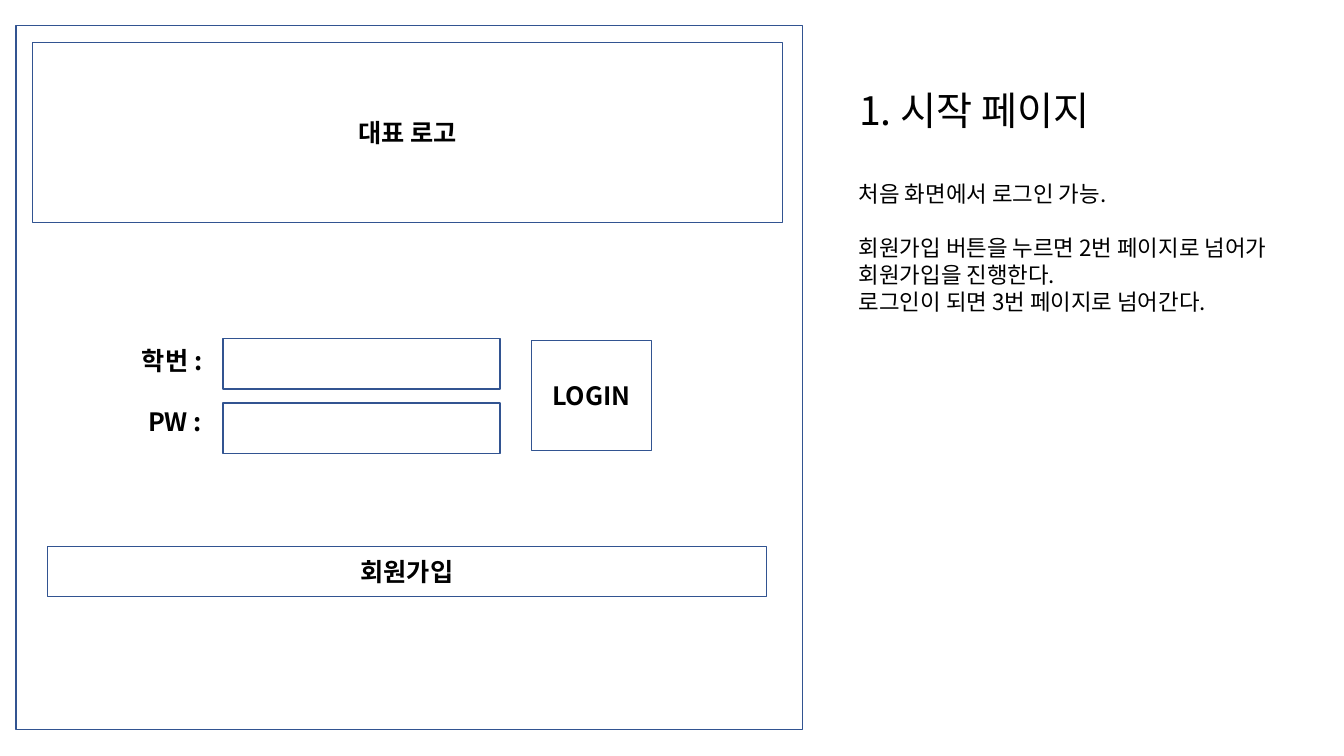
"""Build the start page wireframe slide with its description."""
import pptx
import pptx.dml.color
import pptx.enum.shapes
import pptx.enum.text
import pptx.oxml.ns
import pptx.util
from dataclasses import dataclass
from lxml import etree

Inches = pptx.util.Inches
Align = pptx.enum.text.PP_ALIGN
Anchor = pptx.enum.text.MSO_ANCHOR


@dataclass(frozen=True)
class Theme:
    font: str = "Noto Sans CJK KR"
    ink: str = "000000"
    outline: str = "325491"
    outline_width: float = 1
    title_size: float = 28
    label_size: float = 18
    body_size: float = 16
    paragraph_gap: float = 19.2


THEME = Theme()
TITLE = ("1. 시작 페이지", (8.42, 0.81, 4.75, 0.57))
DESCRIPTION = (
    [
        "처음 화면에서 로그인 가능.",
        "회원가입 버튼을 누르면 2번 페이지로 넘어가 회원가입을 진행한다.",
        "로그인이 되면 3번 페이지로 넘어간다.",
    ],
    (8.42, 1.74, 4.75, 1.46),
)
FRAMES = [
    ("", (0.16, 0.25, 7.8, 6.99)),
    ("대표 로고", (0.32, 0.42, 7.44, 1.79)),
    ("LOGIN", (5.27, 3.38, 1.19, 1.09)),
    ("회원가입", (0.47, 5.42, 7.13, 0.5)),
]
FIELDS = [("학번 :", 1.31), ("PW :", 1.37)]
FIELD_BOX = (2.21, 3.36, 2.75, 0.5)
FIELD_STEP = 0.64
LABEL_TOP, LABEL_STEP = 3.38, 0.6
LABEL_WIDTH, LABEL_HEIGHT = 0.95, 0.4


def color(value):
    return pptx.dml.color.RGBColor.from_string(value)


def format_text(frame, size, bold=False, align=Align.LEFT, anchor=Anchor.TOP):
    frame.vertical_anchor = anchor
    for para in frame.paragraphs:
        para.alignment = align
        for span in para.runs:
            span.font.name = THEME.font
            span.font.size = pptx.util.Pt(size)
            span.font.bold = bold
            span.font.color.rgb = color(THEME.ink)
            east_asian = etree.Element(pptx.oxml.ns.qn("a:ea"), typeface=THEME.font)
            span.font._element.find(pptx.oxml.ns.qn("a:latin")).addnext(east_asian)


def add_frame(page, text, place):
    box = page.shapes.add_shape(
        pptx.enum.shapes.MSO_SHAPE.RECTANGLE, *map(Inches, place)
    )
    box.shadow.inherit = False
    box.fill.background()
    box.line.color.rgb = color(THEME.outline)
    box.line.width = pptx.util.Pt(THEME.outline_width)
    if text:
        box.text_frame.text = text
        format_text(box.text_frame, THEME.label_size, True, Align.CENTER, Anchor.MIDDLE)


def add_text(page, lines, place, size, bold=False, wrap=True):
    box = page.shapes.add_textbox(*map(Inches, place))
    box.text_frame.word_wrap = wrap
    box.text_frame.text = "\n".join(lines)
    format_text(box.text_frame, size, bold)
    return box


def add_title(page):
    text, place = TITLE
    title = page.shapes.title
    title.left, title.top, title.width, title.height = map(Inches, place)
    title.text_frame.text = text
    title.text_frame.auto_size = pptx.enum.text.MSO_AUTO_SIZE.NONE
    format_text(title.text_frame, THEME.title_size)


def add_fields(page):
    left, top, width, height = FIELD_BOX
    for row, (label, label_left) in enumerate(FIELDS):
        add_frame(page, "", (left, top + row * FIELD_STEP, width, height))
        place = (label_left, LABEL_TOP + row * LABEL_STEP, LABEL_WIDTH, LABEL_HEIGHT)
        add_text(page, [label], place, THEME.label_size, bold=True, wrap=False)


def main():
    deck = pptx.Presentation()
    deck.slide_width, deck.slide_height = Inches(13.33), Inches(7.5)
    page = deck.slides.add_slide(deck.slide_layouts.get_by_name("Title Only"))
    add_title(page)
    for text, place in FRAMES:
        add_frame(page, text, place)
    add_fields(page)
    lines, place = DESCRIPTION
    description = add_text(page, lines, place, THEME.body_size)
    description.text_frame.paragraphs[1].space_before = pptx.util.Pt(THEME.paragraph_gap)
    deck.save("out.pptx")


if __name__ == "__main__":
    main()
